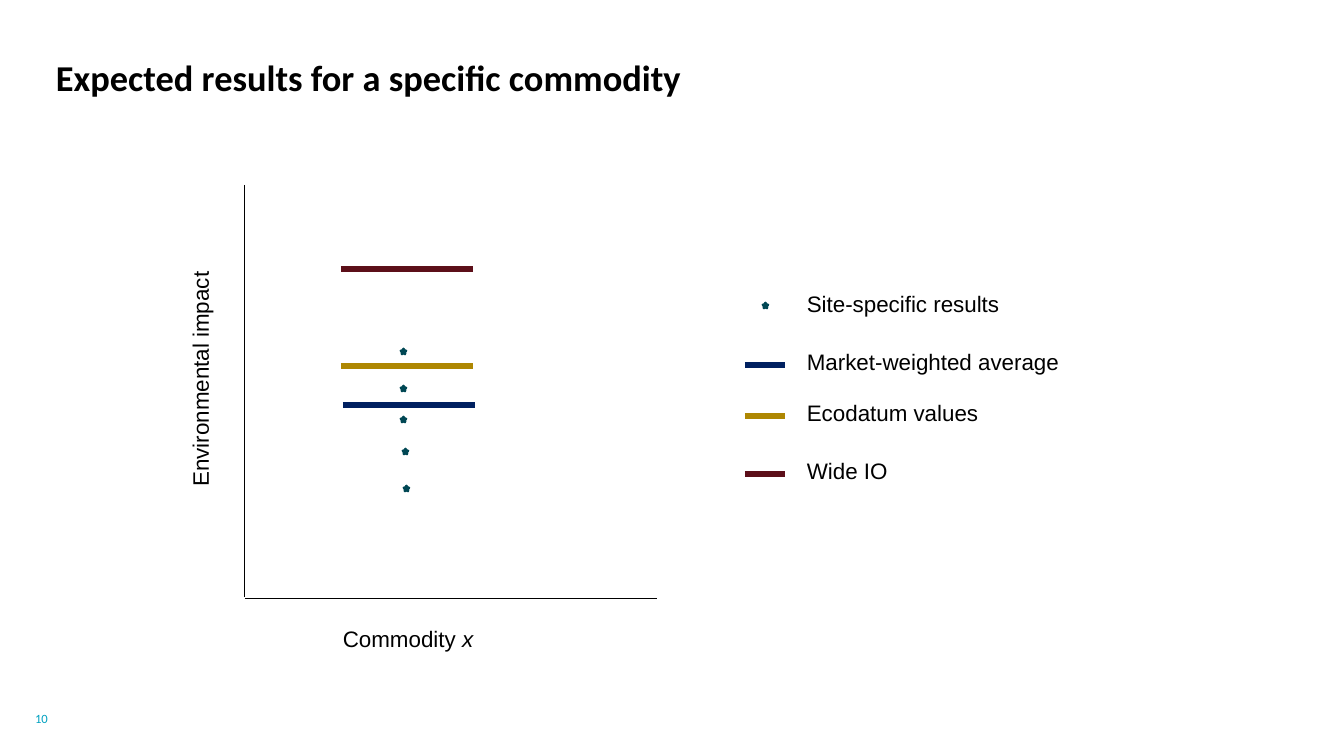
from lxml.etree import SubElement
from pptx import Presentation
from pptx.dml.color import RGBColor
from pptx.enum.shapes import MSO_CONNECTOR, MSO_SHAPE
from pptx.enum.text import MSO_ANCHOR, MSO_AUTO_SIZE, PP_ALIGN
from pptx.oxml.ns import qn
from pptx.util import Pt

COLORS = {
    "black": "000000",
    "cyan": "00A1C0",
    "teal": "004754",
    "navy": "002060",
    "gold": "AE8702",
    "maroon": "5C0F19",
}
TITLE = "Expected results for a specific commodity"
PAGE_NUMBER = "10"
Y_LABEL = "Environmental impact"
X_LABEL = ("Commodity ", "x")

AXES = [((245, 185), (245, 597)), ((657, 599), (245, 599))]
LEVELS = [(343, 405, "navy"), (341, 366, "gold"), (341, 269, "maroon")]
SITES = [(401, 349), (401, 386), (401, 417), (403, 449), (404, 486)]
LEGEND = [
    ("Site-specific results", 285, 215, None),
    ("Market-weighted average", 343, 274, "navy"),
    ("Ecodatum values", 394, 192, "gold"),
    ("Wide IO", 452, 106, "maroon"),
]
LEVEL_WIDTH = 132
KEY_LEFT, KEY_WIDTH, KEY_DROP = 745, 40, 22
LEGEND_LEFT, LABEL_HEIGHT = 797, 37
STAR_SIZE = 5

EMU_PER_PX = 914400 / 100.8


def px(*lengths):
    return [round(length * EMU_PER_PX) for length in lengths]


def color(name):
    return RGBColor.from_string(COLORS[name])


def add_line(slide, start, end, tint, points):
    line = slide.shapes.add_connector(MSO_CONNECTOR.STRAIGHT, *px(*start, *end))
    line.line.color.rgb = color(tint)
    line.line.width = Pt(points)
    SubElement(line._element.spPr, qn("a:effectLst"))


def add_star(slide, left, top):
    star = slide.shapes.add_shape(
        MSO_SHAPE.STAR_5_POINT, *px(left, top, STAR_SIZE, STAR_SIZE)
    )
    star.shadow.inherit = False
    star.fill.solid()
    star.fill.fore_color.rgb = color("cyan")
    star.line.color.rgb = color("teal")
    star.line.width = Pt(2)


def add_text(slide, box, parts, size=16, font="Arial", tint="black"):
    textbox = slide.shapes.add_textbox(*px(*box))
    frame = textbox.text_frame
    frame.word_wrap = False
    frame.auto_size = MSO_AUTO_SIZE.SHAPE_TO_FIT_TEXT
    for part in parts:
        run = frame.paragraphs[0].add_run()
        run.text = part
        run.font.size = Pt(size)
        run.font.name = font
        run.font.color.rgb = color(tint)
    return textbox


def add_heading(slide):
    frame = add_text(slide, (56, 32, 1147, 72), [TITLE], 26, "Calibri").text_frame
    frame.word_wrap = True
    frame.auto_size = MSO_AUTO_SIZE.NONE
    frame.vertical_anchor = MSO_ANCHOR.BOTTOM
    frame.margin_left = 0
    frame.paragraphs[0].line_spacing = 1.08
    frame.paragraphs[0].runs[0].font.bold = True


def add_page_number(slide):
    frame = add_text(
        slide, (19, 714, 45, 8), [PAGE_NUMBER], 9, "Calibri", "cyan"
    ).text_frame
    frame.word_wrap = True
    frame.auto_size = MSO_AUTO_SIZE.NONE
    frame.vertical_anchor = MSO_ANCHOR.MIDDLE
    frame.paragraphs[0].alignment = PP_ALIGN.CENTER


def add_plot(slide):
    for start, end in AXES:
        add_line(slide, start, end, "black", 0.75)
    for left, top in SITES:
        add_star(slide, left, top)
    for left, y, tint in LEVELS:
        add_line(slide, (left, y), (left + LEVEL_WIDTH, y), tint, 4.5)
    add_text(slide, (81, 359, 238, LABEL_HEIGHT), [Y_LABEL]).rotation = 270
    commodity = add_text(slide, (333, 620, 152, LABEL_HEIGHT), X_LABEL)
    commodity.text_frame.paragraphs[0].runs[1].font.italic = True


def add_legend(slide):
    for label, top, width, tint in LEGEND:
        add_text(slide, (LEGEND_LEFT, top, width, LABEL_HEIGHT), [label])
        if tint:
            y = top + KEY_DROP
            add_line(slide, (KEY_LEFT, y), (KEY_LEFT + KEY_WIDTH, y), tint, 4.5)
        else:
            add_star(slide, 763, top + 18)


def main():
    deck = Presentation()
    deck.slide_width, deck.slide_height = px(1344, 756)
    slide = deck.slides.add_slide(deck.slide_layouts[6])
    add_page_number(slide)
    add_heading(slide)
    add_plot(slide)
    add_legend(slide)
    deck.save("out.pptx")


if __name__ == "__main__":
    main()
